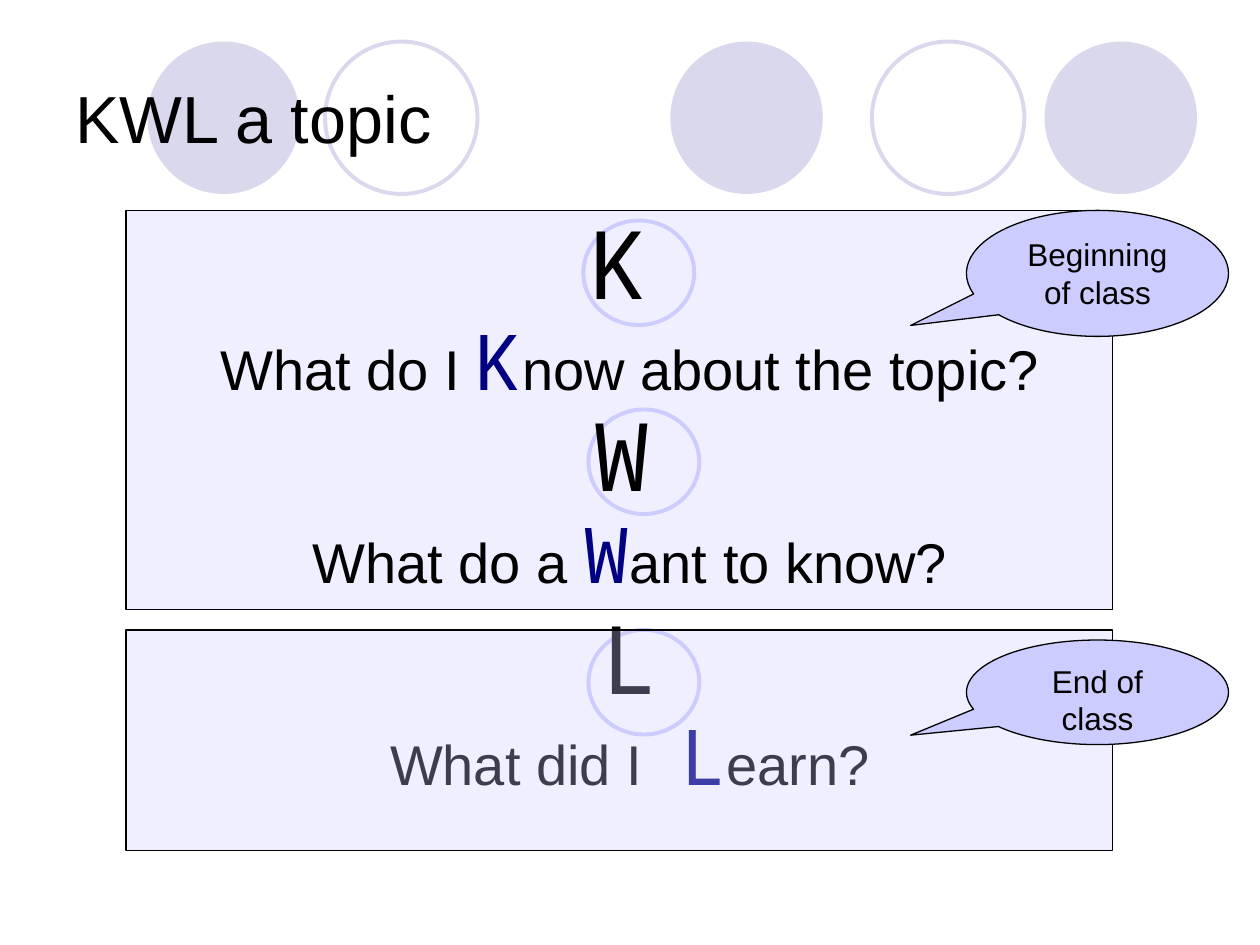
from lxml import etree
from pptx import Presentation
from pptx.dml.color import RGBColor
from pptx.enum.shapes import MSO_SHAPE
from pptx.enum.text import MSO_ANCHOR, PP_ALIGN
from pptx.oxml.ns import qn
from pptx.util import Inches, Pt

OVAL = MSO_SHAPE.OVAL
RECTANGLE = MSO_SHAPE.RECTANGLE
CALLOUT = MSO_SHAPE.OVAL_CALLOUT
TOP, MIDDLE = MSO_ANCHOR.TOP, MSO_ANCHOR.MIDDLE
LEFT, CENTER = PP_ALIGN.LEFT, PP_ALIGN.CENTER

COLORS = {
    "pale": "D9D8EC",
    "lavender": "CCCCFF",
    "black": "000000",
    "navy": "000082",
}
SANS, MONO = "Arial", "Noto Sans Mono"

# Named text styles: font, size in points, colour
STYLES = {
    "title": (SANS, 38, "black"),
    "label": (SANS, 18, "black"),
    "plain": (SANS, 32, "black"),
    "letter": (MONO, 54, "black"),
    "initial": (MONO, 44, "navy"),
    "wide_gap": (SANS, 44, "black"),
    "mono_gap": (MONO, 36, "black"),
}

# Space before in points, then the spans of each paragraph
KWL_LINES = [
    (0, [("K", "letter"), (" ", "wide_gap")]),
    (8, [("What do I ", "plain"), ("K", "initial"),
         ("now about the topic?", "plain")]),
    (8, [("W", "letter"), (" ", "plain")]),
    (8, [("What do a ", "plain"), ("W", "initial"),
         ("ant to know?", "plain")]),
    (13.5, [("L", "letter")]),
    (8, [("What did I", "plain"), (" ", "mono_gap"), ("L", "initial"),
         ("earn?", "plain")]),
]


def color(name):
    return RGBColor.from_string(COLORS[name])


def add_shape(page, kind, area, fill=None, line=None, width=0.75, alpha=None):
    """Add a preset shape; alpha is the fill's opacity in percent."""
    shape = page.shapes.add_shape(kind, *map(Inches, area))
    shape.shadow.inherit = False
    if fill:
        shape.fill.solid()
        shape.fill.fore_color.rgb = color(fill)
    else:
        shape.fill.background()
    if line:
        shape.line.color.rgb = color(line)
        shape.line.width = Pt(width)
    else:
        shape.line.fill.background()
    if alpha:
        fill_color = shape._element.spPr.find(qn("a:solidFill"))[0]
        etree.SubElement(fill_color, qn("a:alpha")).set("val", str(alpha * 1000))
    return shape


def add_span(para, text, style):
    span = para.add_run()
    span.text = text
    font, size, shade = STYLES[style]
    for name, value in {"name": font, "size": Pt(size)}.items():
        setattr(span.font, name, value)
    span.font.color.rgb = color(shade)


def prepare_frame(frame, anchor):
    frame.word_wrap = True
    frame.vertical_anchor = anchor


def add_callout(page, area, text, tail_y):
    callout = add_shape(page, CALLOUT, area, "lavender", "black")
    callout.adjustments[0] = -0.713
    callout.adjustments[1] = tail_y
    prepare_frame(callout.text_frame, TOP)
    para = callout.text_frame.paragraphs[0]
    para.alignment = CENTER
    add_span(para, text, "label")


def add_panel(page, top, height):
    add_shape(page, RECTANGLE, (1, top, 7.83, height),
              "lavender", "black", alpha=30)


def add_header_circles(page):
    for left in (5.32, 8.29, 1.17):
        add_shape(page, OVAL, (left, 0.33, 1.21, 1.21), fill="pale")
    for left in (6.92, 2.58):
        add_shape(page, OVAL, (left, 0.33, 1.21, 1.21), line="pale", width=2.25)


def add_letter_rings(page):
    for left, top in ((4.67, 3.25), (4.67, 5), (4.63, 1.75)):
        add_shape(page, OVAL, (left, top, 0.88, 0.83),
                  line="lavender", width=2.25)


def add_title(page):
    box = page.shapes.add_textbox(*map(Inches, (0.5, 0.3, 9, 1.25)))
    prepare_frame(box.text_frame, MIDDLE)
    para = box.text_frame.paragraphs[0]
    para.alignment = LEFT
    add_span(para, "KWL a topic", "title")


def add_kwl_text(page):
    box = page.shapes.add_textbox(*map(Inches, (0.5, 1.75, 9, 4.95)))
    frame = box.text_frame
    prepare_frame(frame, TOP)
    for index, (space, spans) in enumerate(KWL_LINES):
        para = frame.add_paragraph() if index else frame.paragraphs[0]
        layout = {"alignment": CENTER, "line_spacing": 0.8,
                  "space_before": Pt(space)}
        for name, value in layout.items():
            setattr(para, name, value)
        properties = para._p.get_or_add_pPr()
        properties.set("marL", str(Inches(0.38)))
        properties.set("indent", str(-Inches(0.38)))
        for text, style in spans:
            add_span(para, text, style)


def main():
    deck = Presentation()
    deck.slide_width, deck.slide_height = Inches(10), Inches(7.5)
    page = deck.slides.add_slide(deck.slide_layouts[6])
    add_header_circles(page)
    add_panel(page, 1.67, 3.17)
    add_callout(page, (7.67, 1.67, 2.08, 1), "Beginning of class", 0.413)
    add_letter_rings(page)
    add_title(page)
    add_kwl_text(page)
    add_panel(page, 5, 1.75)
    add_callout(page, (7.67, 5.08, 2.08, 0.83), "End of class", 0.41)
    deck.save("out.pptx")


if __name__ == "__main__":
    main()
